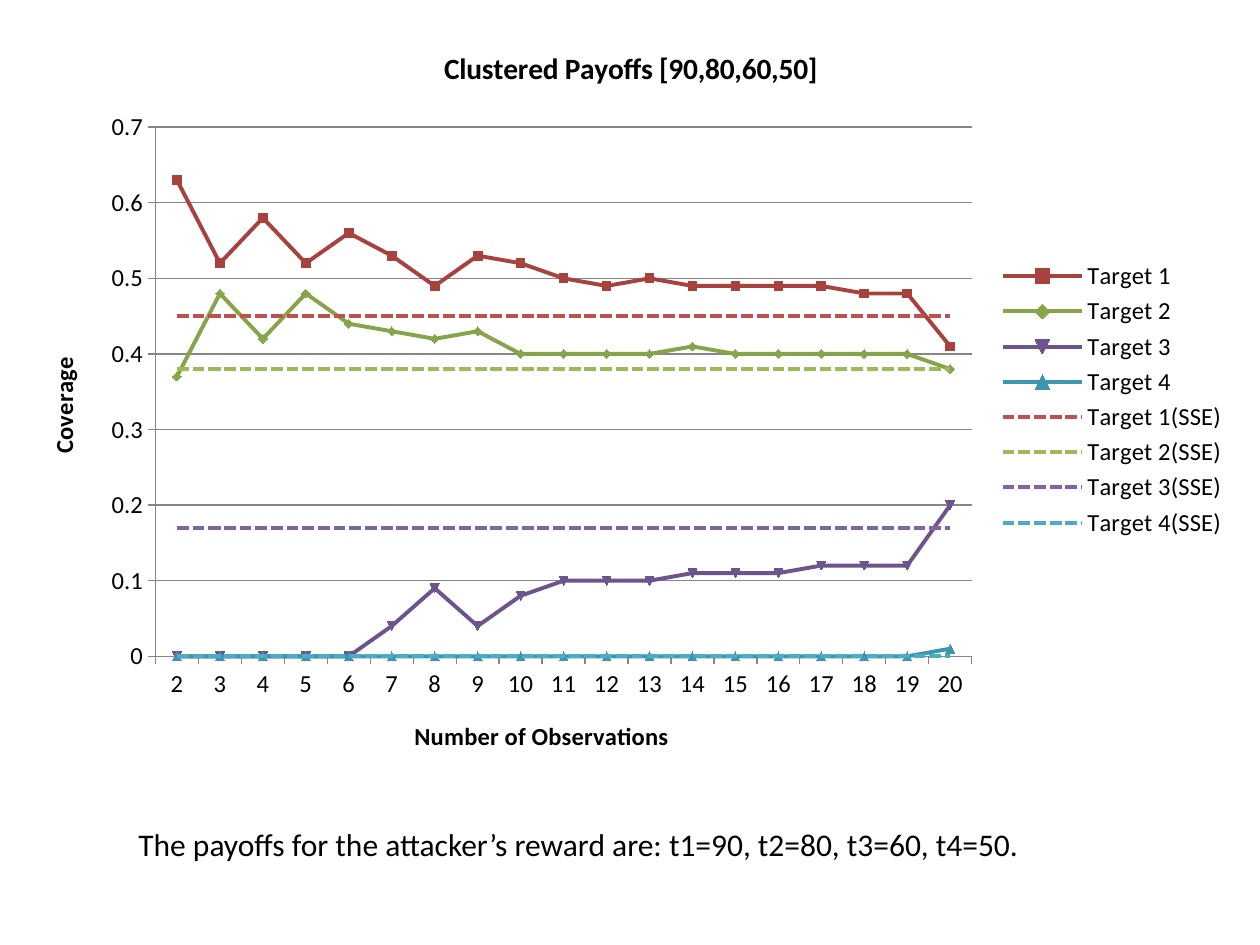
from lxml.etree import SubElement
from pptx import Presentation
from pptx.chart.data import CategoryChartData
from pptx.dml.color import RGBColor
from pptx.enum.chart import XL_CHART_TYPE as ChartType, XL_LEGEND_POSITION as LegendPos, XL_MARKER_STYLE as Marker, XL_TICK_MARK as Tick
from pptx.enum.dml import MSO_LINE_DASH_STYLE as Dash
from pptx.enum.text import MSO_AUTO_SIZE as AutoSize
from pptx.oxml.ns import qn
from pptx.util import Inches, Pt

BLACK = RGBColor(0x00, 0x00, 0x00)
GRID_GREY = RGBColor(0x86, 0x86, 0x86)
OBSERVED_COLORS = [RGBColor.from_string(c) for c in ("A8423F", "86A44A", "6E548D", "3D96AE")]
SSE_COLORS = [RGBColor.from_string(c) for c in ("C0504D", "9BBB59", "8064A2", "4BACC6")]
OBSERVATIONS = range(2, 21)
COVERAGE = {
    "Target 1": [0.63, 0.52, 0.58, 0.52, 0.56, 0.53, 0.49, 0.53, 0.52, 0.5,
                 0.49, 0.5, 0.49, 0.49, 0.49, 0.49, 0.48, 0.48, 0.41],
    "Target 2": [0.37, 0.48, 0.42, 0.48, 0.44, 0.43, 0.42, 0.43, 0.4, 0.4,
                 0.4, 0.4, 0.41, 0.4, 0.4, 0.4, 0.4, 0.4, 0.38],
    "Target 3": [0, 0, 0, 0, 0, 0.04, 0.09, 0.04, 0.08, 0.1,
                 0.1, 0.1, 0.11, 0.11, 0.11, 0.12, 0.12, 0.12, 0.2],
    "Target 4": [0] * 18 + [0.01],
}
SSE_LEVELS = [0.45, 0.38, 0.17, 0]


def set_font(font, size, bold=False):
    """Apply the shared typeface and colour at the given size."""
    for name, value in {"name": "Calibri", "size": Pt(size), "bold": bold}.items():
        setattr(font, name, value)
    font.color.rgb = BLACK


def set_title(owner, text, size):
    """Give a chart or an axis a bold title and return its text frame."""
    title = owner.chart_title if hasattr(owner, "chart_title") else owner.axis_title
    frame = title.text_frame
    frame.text = text
    set_font(frame.paragraphs[0].runs[0].font, size, True)
    return frame


def set_plot_area(chart, **fractions):
    """Fix the inner plot area as fractions of the chart box."""
    plot_area = chart._chartSpace.chart.plotArea
    for old in plot_area.findall(qn("c:layout")):
        plot_area.remove(old)
    layout = SubElement(plot_area, qn("c:layout"))
    plot_area.insert(0, layout)
    manual = SubElement(layout, qn("c:manualLayout"))
    settings = {"layoutTarget": "inner", "xMode": "edge", "yMode": "edge", **fractions}
    for tag, value in settings.items():
        SubElement(manual, qn(f"c:{tag}")).set("val", str(value))


def style_axes(chart):
    """Format both axes, their titles and the gridlines."""
    coverage_axis, observation_axis = chart.value_axis, chart.category_axis
    for axis in (coverage_axis, observation_axis):
        axis.major_tick_mark, axis.minor_tick_mark = Tick.OUTSIDE, Tick.NONE
        set_font(axis.tick_labels.font, 14)
    limits = {"minimum_scale": 0, "maximum_scale": 0.7, "major_unit": 0.1, "has_major_gridlines": True}
    for name, value in limits.items():
        setattr(coverage_axis, name, value)
    for part in (coverage_axis, observation_axis, coverage_axis.major_gridlines):
        part.format.line.color.rgb = GRID_GREY
        part.format.line.width = Pt(0.75)
    set_title(observation_axis, "Number of Observations", 14)
    frame = set_title(coverage_axis, "Coverage", 14)
    body = frame._txBody.find(qn("a:bodyPr"))
    for name, value in {"rot": "-5400000", "vert": "horz"}.items():
        body.set(name, value)


def style_series(chart):
    """Draw observed coverage with markers and SSE levels as dashes."""
    targets = len(COVERAGE)
    for index, (series, color) in enumerate(zip(chart.plots[0].series, OBSERVED_COLORS + SSE_COLORS)):
        series.smooth = False
        line = series.format.line
        line.color.rgb = color
        line.width = Pt(2.25)
        if index < targets:
            marker = series.marker
            marker.format.fill.solid()
            marker.format.fill.fore_color.rgb = color
            marker.format.line.color.rgb = color
        else:
            line.dash_style = Dash.SQUARE_DOT
            series.marker.style = Marker.NONE


def add_coverage_chart(slide, left, top, width, height):
    """Add the coverage line chart in the given box."""
    data = CategoryChartData()
    data.categories = [str(n) for n in OBSERVATIONS]
    for name, values in COVERAGE.items():
        data.add_series(name, values)
    for name, level in zip(COVERAGE, SSE_LEVELS):
        data.add_series(f"{name}(SSE)", [level] * len(OBSERVATIONS))
    chart = slide.shapes.add_chart(ChartType.LINE_MARKERS, left, top, width, height, data).chart
    set_font(chart.font, 14)
    chart.plots[0].vary_by_categories = False
    set_title(chart, "Clustered Payoffs [90,80,60,50]", 16.8)
    chart.has_legend = True
    chart.legend.position = LegendPos.RIGHT
    chart.legend.include_in_layout = False
    set_font(chart.legend.font, 14)
    style_axes(chart)
    style_series(chart)
    set_plot_area(chart, x=0.11, y=0.14, w=0.67, h=0.7)


def add_caption(slide, left, top, width, height):
    """Add the payoff sentence in the given box."""
    frame = slide.shapes.add_textbox(left, top, width, height).text_frame
    frame.word_wrap = True
    frame.auto_size = AutoSize.SHAPE_TO_FIT_TEXT
    run = frame.paragraphs[0].add_run()
    run.text = "The payoffs for the attacker\u2019s reward are: t1=90, t2=80, t3=60, t4=50."
    set_font(run.font, 18)


def build():
    """Build and save the presentation."""
    deck = Presentation()
    deck.slide_width, deck.slide_height = Inches(10), Inches(7.5)
    slide = deck.slides.add_slide(deck.slide_layouts[6])
    add_coverage_chart(slide, Inches(0.17), Inches(0.17), Inches(9.67), Inches(6))
    add_caption(slide, Inches(1), Inches(6.5), Inches(8), Inches(0.4))
    deck.save("out.pptx")


build()
